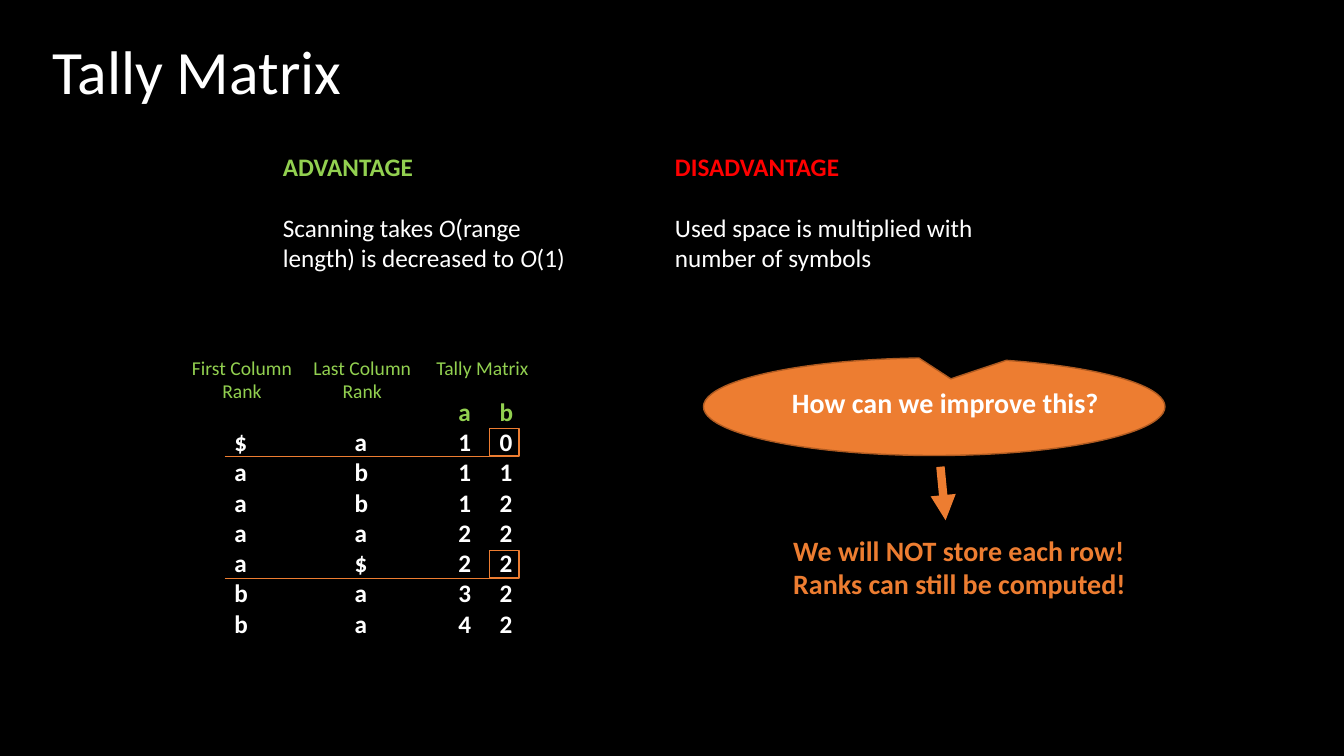
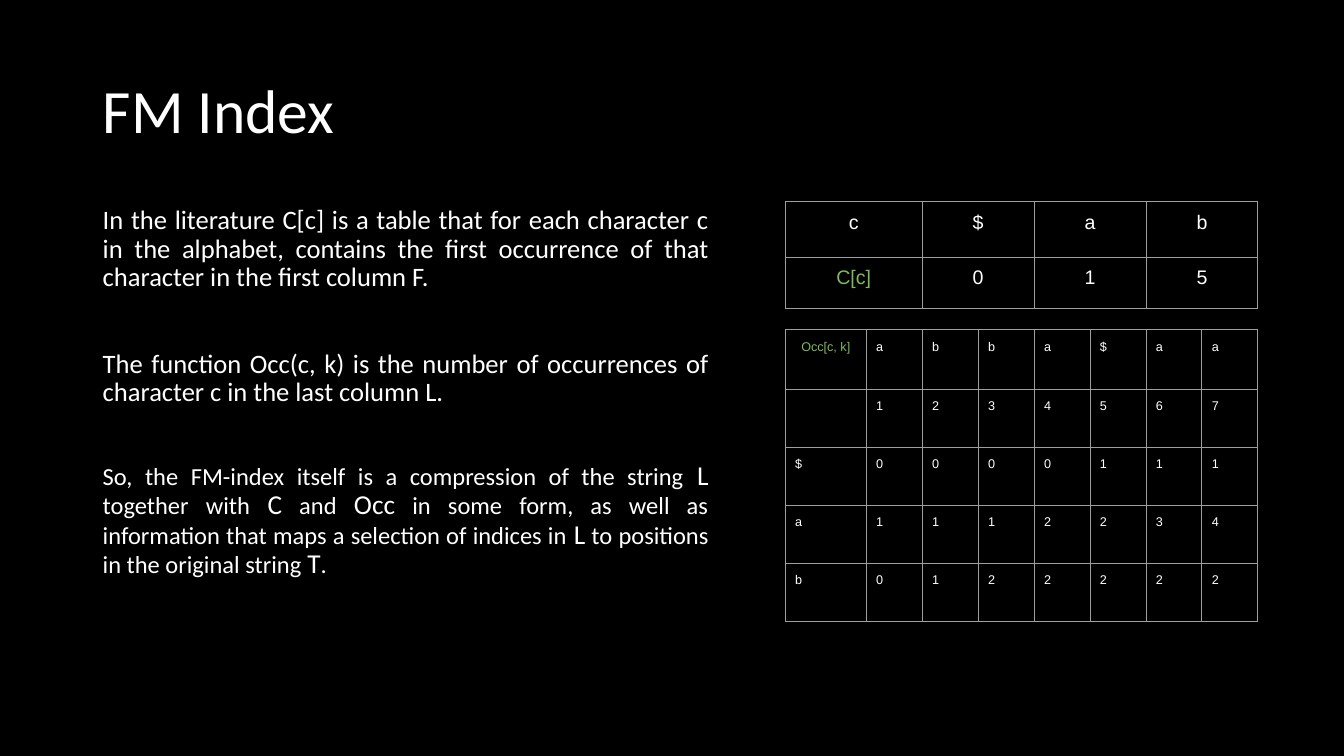
from dataclasses import dataclass

from lxml import etree
from pptx import Presentation
from pptx.dml.color import RGBColor
from pptx.enum.shapes import MSO_CONNECTOR, MSO_SHAPE
from pptx.enum.text import MSO_ANCHOR, PP_ALIGN
from pptx.oxml.ns import qn
from pptx.util import Cm, Pt

LEFT, CENTER, JUSTIFY = PP_ALIGN.LEFT, PP_ALIGN.CENTER, PP_ALIGN.JUSTIFY
TOP, MIDDLE = MSO_ANCHOR.TOP, MSO_ANCHOR.MIDDLE
STRAIGHT = MSO_CONNECTOR.STRAIGHT
RECT, CALLOUT = MSO_SHAPE.RECTANGLE, MSO_SHAPE.OVAL_CALLOUT
BREAK = "\n"


@dataclass(frozen=True)
class Theme:
    black: str = "000000"
    white: str = "FFFFFF"
    lime: str = "92D050"
    green: str = "81B861"
    red: str = "FF0000"
    orange: str = "ED7D31"
    rust: str = "AE5A21"
    grid: str = "9E9E9E"
    font: str = "Calibri"
    table_font: str = "Arial"
    title: float = 44
    callout: float = 20
    text: float = 18
    label: float = 14
    body: float = 19
    summary: float = 17.5
    symbol: float = 19.5
    index: float = 9


TH = Theme()


def rgb(value):
    return RGBColor.from_string(value)


class Deck:
    def __init__(self):
        self.prs = Presentation()
        self.prs.slide_width, self.prs.slide_height = Cm(33.87), Cm(19.05)
        fill = self.prs.slide_master.background.fill
        fill.solid()
        fill.fore_color.rgb = rgb(TH.black)
        self.s = None

    def slide(self, title, x, y):
        self.s = self.prs.slides.add_slide(self.prs.slide_layouts[6])
        self.text((x, y, 29.21, 3.68), [title], anchor=MIDDLE,
                  para={"line_spacing": 0.9}, size=TH.title)

    def run(self, p, text, color=TH.white, size=TH.text, name=TH.font, **fmt):
        r = p.add_run()
        r.text = text
        for key, value in {"size": Pt(size), "name": name, **fmt}.items():
            setattr(r.font, key, value)
        r.font.color.rgb = rgb(color)

    def text(self, box, paras, anchor=TOP, para=None, **fmt):
        tf = self.s.shapes.add_textbox(*map(Cm, box)).text_frame
        tf.word_wrap = True
        tf.vertical_anchor = anchor
        for i, item in enumerate(paras):
            p = tf.paragraphs[0] if i == 0 else tf.add_paragraph()
            runs, own = item if isinstance(item, tuple) else (item, {})
            for key, value in {**(para or {}), **own}.items():
                setattr(p, key, value)
            for part in [runs] if isinstance(runs, str) else runs:
                text, extra = part if isinstance(part, tuple) else (part, {})
                if text == BREAK:
                    p.add_line_break()
                else:
                    self.run(p, text, **{**fmt, **extra})

    def shape(self, kind, box, line, fill=None, adjustments=()):
        sp = self.s.shapes.add_shape(kind, *map(Cm, box))
        sp.shadow.inherit = False
        for i, value in enumerate(adjustments):
            sp.adjustments[i] = value
        if fill:
            sp.fill.solid()
            sp.fill.fore_color.rgb = rgb(fill)
        else:
            sp.fill.background()
        sp.line.color.rgb = rgb(line)
        sp.line.width = Pt(1)

    def line(self, x1, y1, x2, y2, width=0.75, arrow=False):
        c = self.s.shapes.add_connector(STRAIGHT, *map(Cm, (x1, y1, x2, y2)))
        c.line.color.rgb = rgb(TH.orange)
        c.line.width = Pt(width)
        if arrow:
            ln = c.line.fill._xPr
            etree.SubElement(ln, qn("a:tailEnd"), type="triangle")
        etree.SubElement(c._element.spPr, qn("a:effectLst"))

    def border(self, cell):
        tc_pr = cell._tc.get_or_add_tcPr()
        for side in ("a:lnL", "a:lnR", "a:lnT", "a:lnB"):
            ln = etree.SubElement(tc_pr, qn(side), w=str(Pt(0.75)))
            fill = etree.SubElement(ln, qn("a:solidFill"))
            etree.SubElement(fill, qn("a:srgbClr"), val=TH.grid)

    def table(self, x, y, widths, heights, rows, size, key, centered):
        box = map(Cm, (x, y, sum(widths), sum(heights)))
        tbl = self.s.shapes.add_table(len(rows), len(widths), *box).table
        tbl.first_row = tbl.horz_banding = False
        for col, width in zip(tbl.columns, widths):
            col.width = Cm(width)
        for row, height, values in zip(tbl.rows, heights, rows):
            row.height = Cm(height)
            for cell, value in zip(row.cells, values):
                for side in ("left", "right", "top", "bottom"):
                    setattr(cell, f"margin_{side}", Cm(0.25))
                self.border(cell)
                cell.fill.background()
                p = cell.text_frame.paragraphs[0]
                p.alignment = CENTER if centered or value == key else LEFT
                if value:
                    self.run(p, value, TH.green if value == key else TH.white,
                             size, TH.table_font)


def tally_slide(deck):
    deck.slide("Tally Matrix", 1.07, 0.05)
    big_o = ("O", {"italic": True})
    gap = {"space_before": Pt(22)}
    for x, width, heading, color, runs in (
        (6.88, 7.92, "ADVANTAGE", TH.lime,
         ["Scanning takes ", big_o, "(range length) is decreased to ", big_o, "(1)"]),
        (16.76, 9.47, "DISADVANTAGE", TH.red,
         ["Used space is multiplied with number of symbols"]),
    ):
        head = [(heading, {"color": color, "bold": True})]
        deck.text((x, 3.68, width, 3.33), [head, (runs, gap)])

    labels = (["First Column", BREAK, "Rank"], ["Last Column", BREAK, "Rank"],
              ["Tally Matrix"])
    for i, label in enumerate(labels):
        deck.text((3.84 + 3.03 * i, 8.84, 4.52, 1.45), [label],
                  para={"alignment": CENTER}, color=TH.lime, size=TH.label)

    for x, symbols in ((5.66, "$aaaabb"), (8.69, "abba$aa")):
        deck.text((x, 10.62, 1, 5.64), symbols, bold=True)
    for x, symbol, counts in ((11.3, "a", "1112234"), (12.34, "b", "0122222")):
        head = [(symbol, {"color": TH.lime})]
        deck.text((x, 9.86, 1, 6.4), [head, *counts], bold=True)

    for row in (0, 4):
        top = 10.8 + 0.77 * row
        deck.line(5.66, top + 0.7, 13.08, top + 0.7)
        deck.shape(RECT, (12.34, top, 0.74, 0.69), TH.orange)

    deck.shape(CALLOUT, (17.73, 9.02, 11.63, 2.46), TH.rust, TH.orange,
               (0.036, -0.285))
    deck.text((19.71, 9.58, 8.59, 1.12), ["How can we improve this?"],
              size=TH.callout, bold=True)
    deck.line(23.7, 11.76, 23.83, 13.11, width=6, arrow=True)
    deck.text((19.74, 13.31, 10.34, 1.96),
              ["We will NOT store each row!", "Ranks can still be computed!"],
              color=TH.orange, size=TH.callout, bold=True)


def index_slide(deck):
    deck.slide("FM Index", 2.34, 1.02)
    summary = (
        "So, the FM-index itself is a compression of the string ", "L",
        " together with ", "C", " and ", "Occ",
        " in some form, as well as information that maps a selection of indices in ",
        "L", " to positions in the original string ", "T", ".",
    )
    sizes = (TH.summary, TH.symbol)
    runs = [(part, {"size": sizes[i % 2]}) for i, part in enumerate(summary)]
    deck.text(
        (2.34, 5.08, 15.77, 12.09),
        ["In the literature C[c] is a table that for each character c in the "
         "alphabet, contains the first occurrence of that character in the "
         "first column F.",
         ("The function Occ(c, k) is the number of occurrences of character c "
          "in the last column L.", {"space_before": Pt(41)}),
         (runs, {"space_before": Pt(38.5)})],
        para={"alignment": JUSTIFY, "line_spacing": 0.9}, size=TH.body)

    deck.table(19.79, 8.31, [2.04] + [1.41] * 7, [1.5] + [1.46] * 4,
               [["Occ[c, k]", *"abba$aa"], ["", *"1234567"],
                "$0000111", "a1112234", "b0122222"],
               TH.index, "Occ[c, k]", False)
    deck.table(19.79, 5.08, [3.45] + [2.82] * 3, [1.4, 1.3],
               ["c$ab", ["C[c]", *"015"]], TH.label, "C[c]", True)


def main():
    deck = Deck()
    tally_slide(deck)
    index_slide(deck)
    deck.prs.save("out.pptx")


if __name__ == "__main__":
    main()
